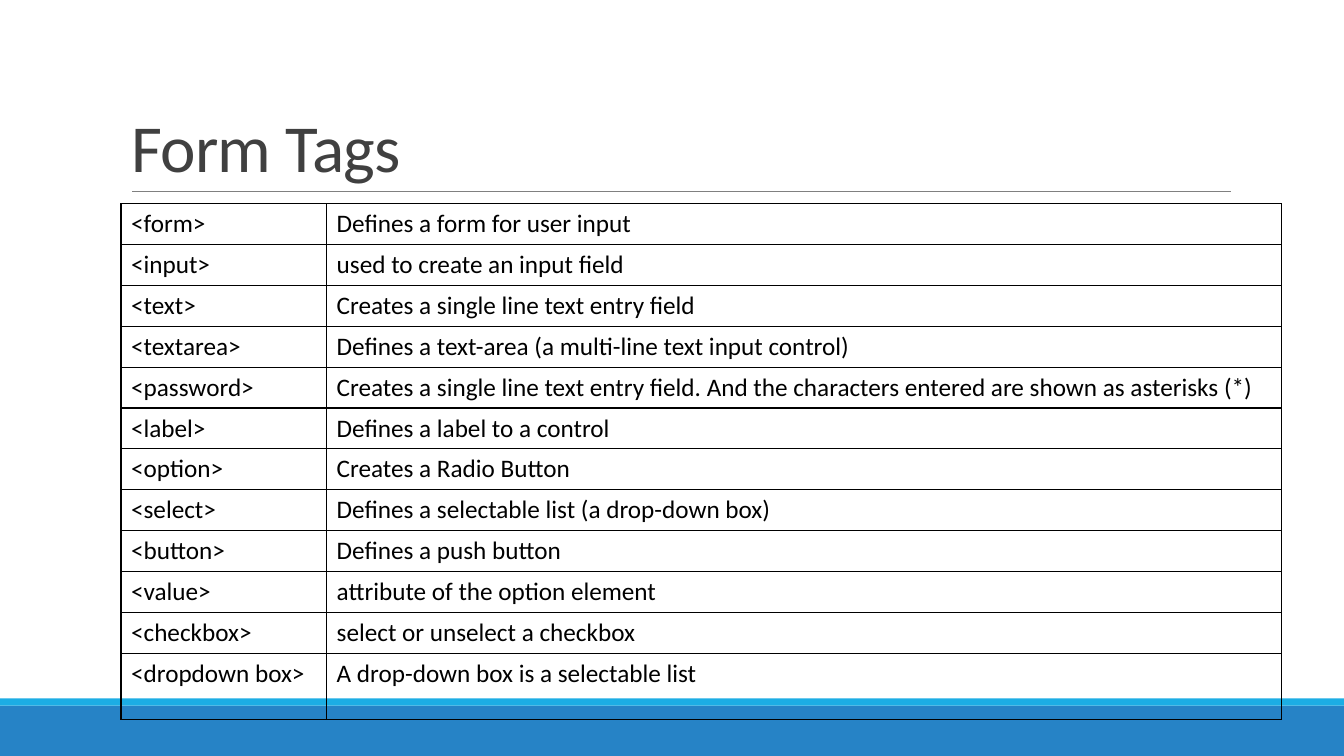
from lxml import etree
from pptx import Presentation
from pptx import util as u
from pptx.dml.color import RGBColor
from pptx.enum import shapes, text
from pptx.oxml.ns import qn

TITLE = "Form Tags"
TAGS = [
    ("<form>", "Defines a form for user input"),
    ("<input>", "used to create an input field"),
    ("<text>", "Creates a single line text entry field"),
    ("<textarea>", "Defines a text-area (a multi-line text input control)"),
    ("<password>", "Creates a single line text entry field. "
                   "And the characters entered are shown as asterisks (*)"),
    ("<label>", "Defines a label to a control"),
    ("<option>", "Creates a Radio Button"),
    ("<select>", "Defines a selectable list (a drop-down box)"),
    ("<button>", "Defines a push button"),
    ("<value>", "attribute of the option element"),
    ("<checkbox>", "select or unselect a checkbox"),
    ("<dropdown box>", "A drop-down box is a selectable list"),
]
FONT = "Calibri"
BLACK = RGBColor(0, 0, 0)
DARK = RGBColor(0x40, 0x40, 0x40)
GREY = RGBColor(0x80, 0x80, 0x80)
BLUE = RGBColor(0x26, 0x83, 0xC6)
CYAN = RGBColor(0x1C, 0xAD, 0xE4)

WIDTH, HEIGHT = 13.33, 7.5
LEFT, RULE_Y, TABLE_Y = 1.2, 1.9, 2.02
COLS = (2.04, 9.47)
ROWS = [0.38] * (len(TAGS) - 1) + [0.66]
BARS = [(7, 0.5, BLUE), (6.93, 0.07, CYAN)]


def style(p, size, color):
    p.font.name, p.font.size = FONT, u.Pt(size)
    p.font.color.rgb = color


def add_borders(cell):
    tcPr = cell._tc.get_or_add_tcPr()
    for side in ("a:lnL", "a:lnR", "a:lnT", "a:lnB"):
        ln = etree.SubElement(tcPr, qn(side), w=str(u.Pt(1)))
        fill = etree.SubElement(ln, qn("a:solidFill"))
        etree.SubElement(fill, qn("a:srgbClr"), val=str(BLACK))


def add_title(s):
    sp = s.shapes.title
    sp.left, sp.top, sp.width, sp.height = map(
        u.Inches, (LEFT, RULE_Y - 1.59, 11, 1.59))
    tf = sp.text_frame
    tf.text = TITLE
    tf.vertical_anchor = text.MSO_ANCHOR.BOTTOM
    tf.auto_size = text.MSO_AUTO_SIZE.NONE
    p = tf.paragraphs[0]
    p.alignment, p.line_spacing = text.PP_ALIGN.LEFT, 0.85
    style(p, 48, DARK)
    p.runs[0]._r.get_or_add_rPr().set("spc", "-50")


def add_decor(s):
    for top, height, color in BARS:
        bar = s.shapes.add_shape(shapes.MSO_SHAPE.RECTANGLE, 0, u.Inches(top),
                                 u.Inches(WIDTH), u.Inches(height))
        bar.shadow.inherit = False
        bar.fill.solid()
        bar.fill.fore_color.rgb = color
        bar.line.fill.background()
    rule = s.shapes.add_connector(
        shapes.MSO_CONNECTOR.STRAIGHT,
        *map(u.Inches, (1.31, RULE_Y, 12.21, RULE_Y)))
    rule.line.color.rgb, rule.line.width = GREY, u.Pt(0.5)
    etree.SubElement(rule._element.spPr, qn("a:effectLst"))


def add_tags(s):
    table = s.shapes.add_table(len(ROWS), len(COLS), *map(
        u.Inches, (LEFT, TABLE_Y, sum(COLS), sum(ROWS)))).table
    table.first_row = table.horz_banding = False
    for col, width in zip(table.columns, COLS):
        col.width = u.Inches(width)
    for row, height, words in zip(table.rows, ROWS, TAGS):
        row.height = u.Inches(height)
        for cell, word in zip(row.cells, words):
            cell.text = word
            style(cell.text_frame.paragraphs[0], 18, BLACK)
            add_borders(cell)
            cell.fill.background()


def main():
    prs = Presentation()
    prs.slide_width, prs.slide_height = u.Inches(WIDTH), u.Inches(HEIGHT)
    s = prs.slides.add_slide(prs.slide_layouts[5])
    add_title(s)
    add_decor(s)
    add_tags(s)
    prs.save("out.pptx")


if __name__ == "__main__":
    main()
